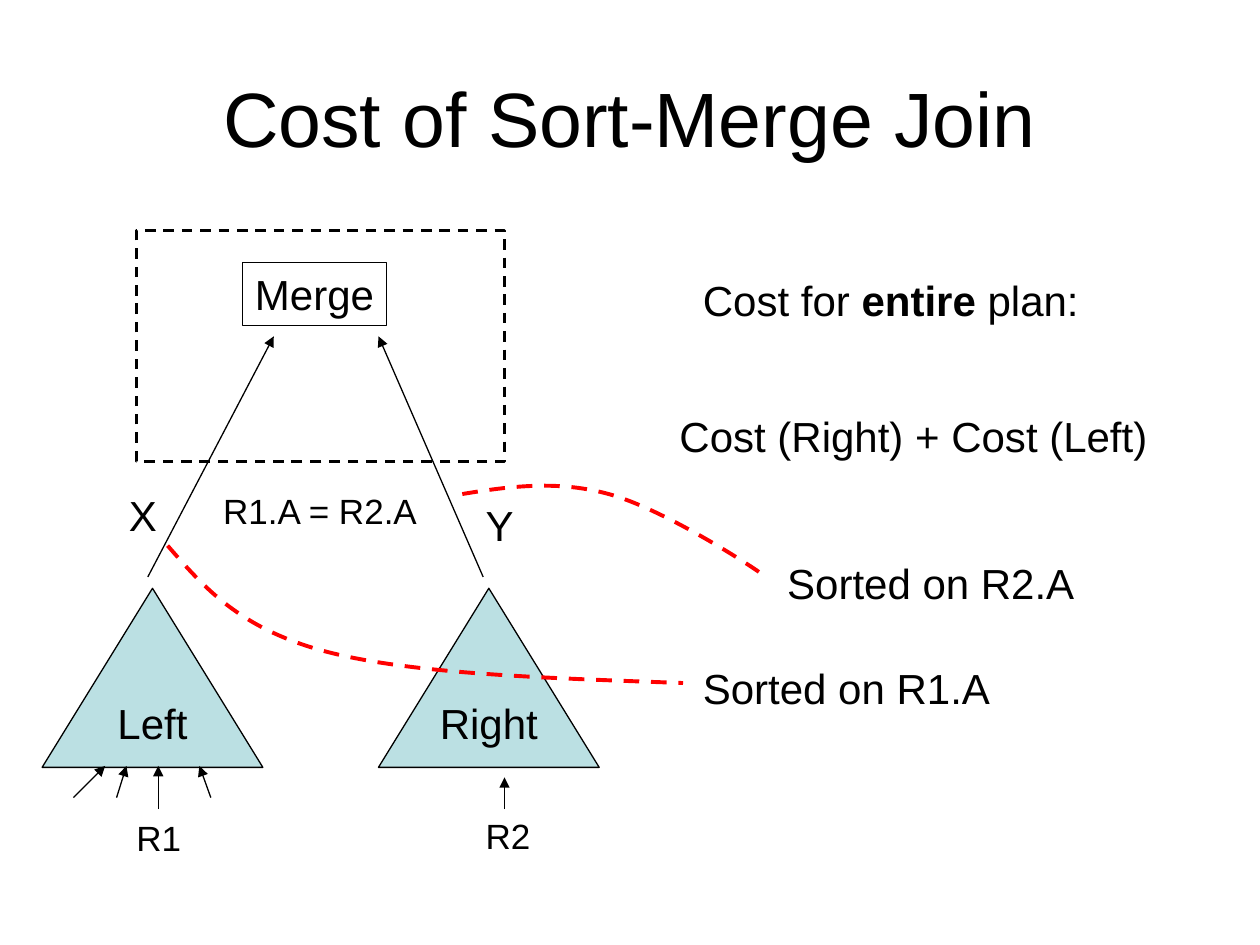
from lxml import etree
from pptx import Presentation
from pptx.dml.color import RGBColor
from pptx.enum.dml import MSO_LINE
from pptx.enum.shapes import MSO_CONNECTOR, MSO_SHAPE as SHAPE
from pptx.enum.text import MSO_ANCHOR as ANCHOR, MSO_AUTO_SIZE as AUTO, PP_ALIGN as ALIGN
from pptx.oxml.ns import qn
from pptx.util import Cm, Pt

COLORS = {"ink": "000000", "plan": "BBE0E3", "sorted": "FF0000"}
FONT = "Arial"


def rgb(name):
    return RGBColor.from_string(COLORS[name])


def set_text(sp, text, size, align=ALIGN.LEFT, anchor=ANCHOR.TOP, bold_word=None,
             auto_size=AUTO.SHAPE_TO_FIT_TEXT):
    tf = sp.text_frame
    tf.word_wrap = False
    tf.auto_size = auto_size
    tf.vertical_anchor = anchor
    p = tf.paragraphs[0]
    p.alignment = align
    parts = text.partition(bold_word) if bold_word else (text,)
    for part in parts:
        r = p.add_run()
        r.text = part
        r.font.name, r.font.size = FONT, Pt(size)
        r.font.bold = part == bold_word
        r.font.color.rgb = rgb("ink")


def add_label(s, x, y, w, h, text, size=24, **style):
    sp = s.shapes.add_textbox(Cm(x), Cm(y), Cm(w), Cm(h))
    set_text(sp, text, size, **style)


def add_outlined(s, kind, x, y, w, h, fill=None, width=0.75):
    sp = s.shapes.add_shape(kind, Cm(x), Cm(y), Cm(w), Cm(h))
    sp.shadow.inherit = False
    if fill:
        sp.fill.solid()
        sp.fill.fore_color.rgb = rgb(fill)
    else:
        sp.fill.background()
    sp.line.color.rgb = rgb("ink")
    sp.line.width = Pt(width)
    return sp


def add_arrow(s, x1, y1, x2, y2):
    line = s.shapes.add_connector(MSO_CONNECTOR.STRAIGHT, Cm(x1), Cm(y1), Cm(x2), Cm(y2))
    line.line.color.rgb = rgb("ink")
    line.line.width = Pt(0.75)
    ln = line._element.spPr.find(qn("a:ln"))
    etree.SubElement(ln, qn("a:tailEnd"), type="triangle")
    etree.SubElement(line._element.spPr, qn("a:effectLst"))


def add_title(s, x, y, w, h):
    add_label(s, x, y, w, h, "Cost of Sort-Merge Join", 44,
              align=ALIGN.CENTER, anchor=ANCHOR.MIDDLE, auto_size=AUTO.NONE)


def add_plan_tree(s, x, y):
    # Subplans
    for dx, name in ((0, "Left"), (6.78, "Right")):
        sp = add_outlined(s, SHAPE.ISOSCELES_TRIANGLE, x + dx, y + 7.21, 4.45, 3.61, "plan")
        set_text(sp, name, 24, ALIGN.CENTER, ANCHOR.MIDDLE, auto_size=AUTO.NONE)

    # Merge operator inside its dashed frame
    merge = add_outlined(s, SHAPE.RECTANGLE, x + 4.04, y + 0.64, 2.91, 1.27)
    set_text(merge, "Merge", 24)
    frame = add_outlined(s, SHAPE.RECTANGLE, x + 1.9, y, 7.42, 4.65, width=1.5)
    frame.line.dash_style = MSO_LINE.DASH

    # Arrows into the merge, then arrows into the subplans
    arrows = [
        (8.89, 6.98, 6.78, 2.13), (2.13, 6.98, 4.67, 2.13),
        (0.63, 11.43, 1.27, 10.79), (1.5, 11.43, 1.7, 10.79),
        (2.34, 11.66, 2.34, 10.79), (3.4, 11.43, 3.17, 10.79),
        (9.32, 11.66, 9.32, 11.02),
    ]
    for x1, y1, x2, y2 in arrows:
        add_arrow(s, x + x1, y + y1, x + x2, y + y2)

    # Labels
    labels = [
        (1.5, 5.09, 1.07, 1.27, "X", 24), (8.69, 5.29, 1.07, 1.27, "Y", 24),
        (3.4, 5.09, 4.45, 1.12, "R1.A = R2.A", 20),
        (1.65, 11.68, 1.42, 1.12, "R1", 20), (8.69, 11.65, 1.42, 1.12, "R2", 20),
    ]
    for dx, dy, w, h, text, size in labels:
        add_label(s, x + dx, y + dy, w, h, text, size)


def add_cost_notes(s, x, y):
    add_label(s, x + 0.48, y, 8.08, 1.27, "Cost for entire plan:", bold_word="entire")
    add_label(s, x, y + 2.74, 9.95, 1.27, "Cost (Right) + Cost (Left)", align=ALIGN.CENTER)
    add_label(s, x + 2.18, y + 5.7, 6.3, 1.27, "Sorted on R2.A")
    add_label(s, x + 0.48, y + 7.82, 6.3, 1.27, "Sorted on R1.A")


def add_sort_curve(s, x, y, points):
    """Draw a dashed Bezier curve from (x, y); every three points make a segment."""
    builder = s.shapes.build_freeform(Cm(x), Cm(y))
    builder.add_line_segments([(Cm(x + dx), Cm(y + dy)) for dx, dy in points], close=False)
    sp = builder.convert_to_shape()
    # Merge each three straight segments into one cubic segment
    path = next(sp._element.iter(qn("a:path")))
    lines = path.findall(qn("a:lnTo"))
    for i in range(0, len(lines), 3):
        cubic = etree.SubElement(path, qn("a:cubicBezTo"))
        for line in lines[i:i + 3]:
            cubic.append(line[0])
            path.remove(line)
    sp.shadow.inherit = False
    sp.fill.background()
    sp.line.color.rgb = rgb("sorted")
    sp.line.width = Pt(2.25)
    sp.line.dash_style = MSO_LINE.DASH


def main():
    prs = Presentation()
    prs.slide_width, prs.slide_height = Cm(25.4), Cm(19.05)
    s = prs.slides.add_slide(prs.slide_layouts[6])

    add_title(s, 1.27, 0.76, 22.86, 3.18)
    add_plan_tree(s, 0.85, 4.65)
    add_cost_notes(s, 13.44, 5.41)
    # Curves tying each sorted input to its note
    add_sort_curve(s, 3.38, 11, [(0.73, 0.84), (1.45, 1.67), (3.17, 2.13),
                                 (4.9, 2.59), (7.64, 2.67), (10.39, 2.77)])
    add_sort_curve(s, 9.32, 9.96, [(0.97, -0.16), (1.93, -0.28), (2.95, 0),
                                   (3.99, 0.28), (5.72, 1.37), (6.12, 1.67)])
    prs.save("out.pptx")


if __name__ == "__main__":
    main()
